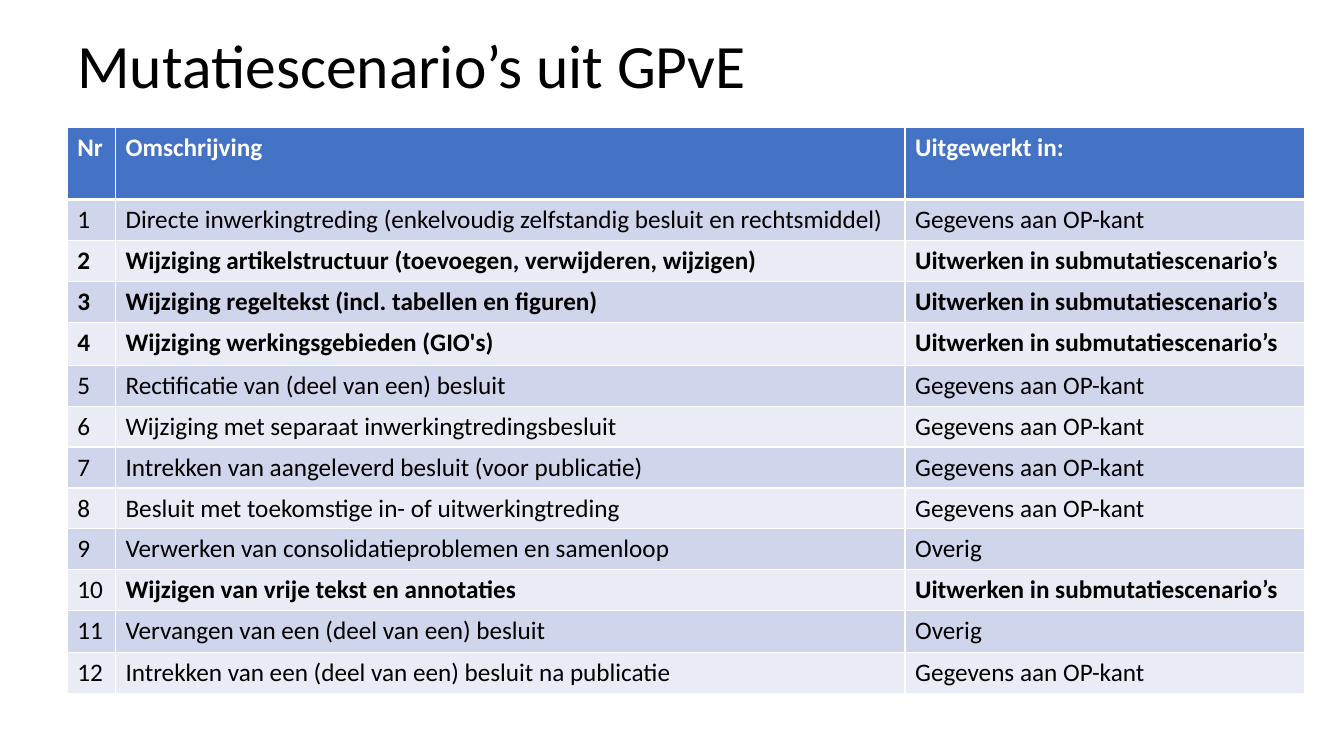
import pptx
import pptx.dml.color
import pptx.enum.text
import pptx.oxml
import pptx.oxml.ns
import pptx.util
from dataclasses import dataclass

PX = 9525  # EMU in one px: 96 px to the inch


@dataclass(frozen=True)
class Theme:
    font: str = "Calibri"
    title_size: int = 44
    table_size: int = 18
    ink: str = "000000"
    paper: str = "FFFFFF"
    header: str = "4472C4"
    bands: tuple = ("CFD5EA", "E9EBF5")
    thin: int = 1
    thick: int = 3


THEME = Theme()

TITLE = "Mutatiescenario’s uit GPvE"
HEADINGS = ("Nr", "Omschrijving", "Uitgewerkt in:")
OP, SUB, OTHER = "Gegevens aan OP-kant", "Uitwerken in submutatiescenario’s", "Overig"
SCENARIOS = [
    ("Directe inwerkingtreding (enkelvoudig zelfstandig besluit en rechtsmiddel)", OP),
    ("Wijziging artikelstructuur (toevoegen, verwijderen, wijzigen)", SUB),
    ("Wijziging regeltekst (incl. tabellen en figuren)", SUB),
    ("Wijziging werkingsgebieden (GIO's)", SUB),
    ("Rectificatie van (deel van een) besluit", OP),
    ("Wijziging met separaat inwerkingtredingsbesluit", OP),
    ("Intrekken van aangeleverd besluit (voor publicatie)", OP),
    ("Besluit met toekomstige in- of uitwerkingtreding", OP),
    ("Verwerken van consolidatieproblemen en samenloop", OTHER),
    ("Wijzigen van vrije tekst en annotaties", SUB),
    ("Vervangen van een (deel van een) besluit", OTHER),
    ("Intrekken van een (deel van een) besluit na publicatie", OP),
]
PLAIN_NUMBERS = {10}  # scenarios whose number stays regular in a bold row

COLUMN_WIDTHS = (46, 752, 381)
HEADER_HEIGHT, ROW_HEIGHT = 69, 39
TALL_ROWS = {4: 41, 11: 40}


def set_all(target, values):
    for name, value in values.items():
        setattr(target, name, value)


def write(para, text, size, color, bold=False):
    span = para.add_run()
    span.text = text
    set_all(span.font, {"name": THEME.font, "size": pptx.util.Pt(size), "bold": bold})
    span.font.color.rgb = pptx.dml.color.RGBColor.from_string(color)


def add_borders(cell, widths):
    """Draw the edges, given as points by side; they precede the fill."""
    properties = cell._tc.get_or_add_tcPr()
    for index, (side, width) in enumerate(widths.items()):
        properties.insert(index, pptx.oxml.parse_xml(
            f'<a:ln{side} {pptx.oxml.ns.nsdecls("a")} w="{pptx.util.Pt(width)}">'
            f'<a:solidFill><a:srgbClr val="{THEME.paper}"/></a:solidFill></a:ln{side}>'))


def fill_cell(cell, text, fill, color, bold, top, bottom):
    cell.fill.solid()
    cell.fill.fore_color.rgb = pptx.dml.color.RGBColor.from_string(fill)
    add_borders(cell, {"L": THEME.thin, "R": THEME.thin, "T": top, "B": bottom})
    write(cell.text_frame.paragraphs[0], text, THEME.table_size, color, bold)


def add_title(page, box):
    title = page.shapes.title
    left, top, width, height = (length * PX for length in box)
    set_all(title, {"left": left, "top": top, "width": width, "height": height})
    set_all(title.text_frame, {
        "word_wrap": True,
        "auto_size": pptx.enum.text.MSO_AUTO_SIZE.NONE,
        "vertical_anchor": pptx.enum.text.MSO_ANCHOR.MIDDLE,
    })
    para = title.text_frame.paragraphs[0]
    set_all(para, {"alignment": pptx.enum.text.PP_ALIGN.LEFT, "line_spacing": 0.9})
    write(para, TITLE, THEME.title_size, THEME.ink)


def add_scenarios(page, box):
    rows = len(SCENARIOS) + 1
    table = page.shapes.add_table(
        rows, len(HEADINGS), *(length * PX for length in box)).table
    for column, width in zip(table.columns, COLUMN_WIDTHS):
        column.width = width * PX

    # Header row
    table.rows[0].height = HEADER_HEIGHT * PX
    for cell, heading in zip(table.rows[0].cells, HEADINGS):
        fill_cell(cell, heading, THEME.header, THEME.paper, True, THEME.thin, THEME.thick)

    # Numbered scenarios; those still to be worked out are bold
    for number, (description, place) in enumerate(SCENARIOS, 1):
        row = table.rows[number]
        row.height = TALL_ROWS.get(number, ROW_HEIGHT) * PX
        fill = THEME.bands[(number - 1) % 2]
        top = THEME.thick if number == 1 else THEME.thin
        for index, text in enumerate((str(number), description, place)):
            bold = place == SUB and not (index == 0 and number in PLAIN_NUMBERS)
            fill_cell(row.cells[index], text, fill, THEME.ink, bold, top, THEME.thin)


def main():
    deck = pptx.Presentation()
    set_all(deck, {"slide_width": 1280 * PX, "slide_height": 720 * PX})
    page = deck.slides.add_slide(deck.slide_layouts.get_by_name("Title Only"))
    add_title(page, (64, 27, 1104, 76))
    table_height = HEADER_HEIGHT + sum(
        TALL_ROWS.get(number, ROW_HEIGHT) for number in range(1, len(SCENARIOS) + 1))
    add_scenarios(page, (64, 121, sum(COLUMN_WIDTHS), table_height))
    deck.save("out.pptx")


if __name__ == "__main__":
    main()
